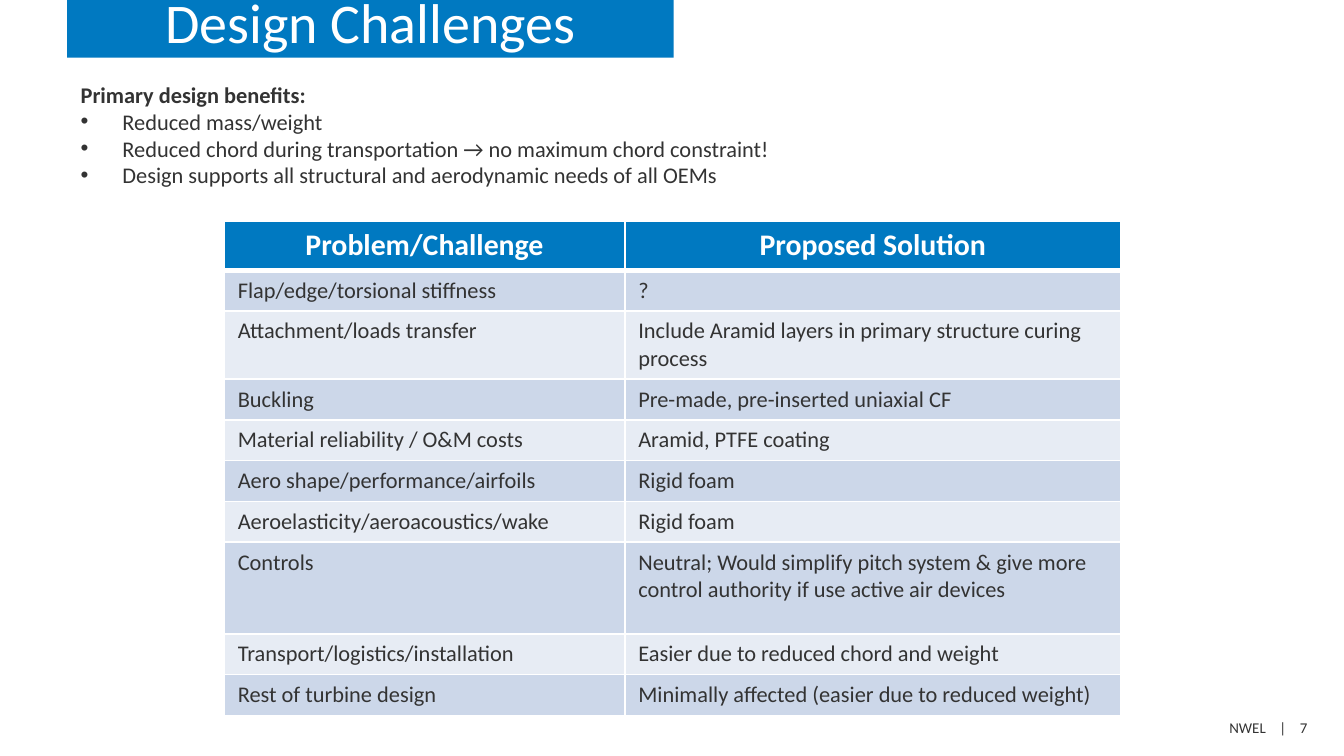
from lxml import etree
from pptx import Presentation
from pptx.dml.color import RGBColor
from pptx.enum.text import MSO_ANCHOR, MSO_AUTO_SIZE, PP_ALIGN
from pptx.oxml.ns import qn
from pptx.util import Cm, Pt

LEFT, CENTER, RIGHT = PP_ALIGN.LEFT, PP_ALIGN.CENTER, PP_ALIGN.RIGHT
MIDDLE, TOP = MSO_ANCHOR.MIDDLE, MSO_ANCHOR.TOP
NO_FIT = MSO_AUTO_SIZE.NONE

FONT = "Calibri"
BLUE, INK, WHITE = "0079C1", "333333", "FFFFFF"
BANDS = ("CCD7E9", "E7ECF4")

BENEFITS = [
    "Reduced mass/weight",
    "Reduced chord during transportation → no maximum chord constraint!",
    "Design supports all structural and aerodynamic needs of all OEMs",
]
HEADINGS = ("Problem/Challenge", "Proposed Solution")
ROW = 0.77
# Problem, solution, row height in cm
CHALLENGES = [
    ("Flap/edge/torsional stiffness", "?", ROW),
    ("Attachment/loads transfer",
     "Include Aramid layers in primary structure curing process", 1.29),
    ("Buckling", "Pre-made, pre-inserted uniaxial CF", ROW),
    ("Material reliability / O&M costs", "Aramid, PTFE coating", ROW),
    ("Aero shape/performance/airfoils", "Rigid foam", ROW),
    ("Aeroelasticity/aeroacoustics/wake", "Rigid foam", ROW),
    ("Controls", "Neutral; Would simplify pitch system & give more control "
     "authority if use active air devices", 1.73),
    ("Transport/logistics/installation",
     "Easier due to reduced chord and weight", ROW),
    ("Rest of turbine design",
     "Minimally affected (easier due to reduced weight)", ROW),
]


def color(value):
    return RGBColor.from_string(value)


def write(para, text, size=12, ink=INK, bold=False, align=LEFT, tracking=0):
    para.alignment = align
    span = para.add_run()
    span.text = text
    span.font.name = FONT
    span.font.size = Pt(size)
    span.font.bold = bold
    span.font.color.rgb = color(ink)
    if tracking:
        span.font._element.set("spc", str(round(tracking * 100)))


def place(shape, box):
    shape.left, shape.top, shape.width, shape.height = map(Cm, box)


def set_bullet(para, mark=None, indent=0.79):
    properties = para._p.get_or_add_pPr()
    hang = Cm(indent) if mark else 0
    properties.set("marL", str(hang))
    properties.set("indent", str(-hang))
    if mark:
        etree.SubElement(properties, qn("a:buChar")).set("char", mark)
    else:
        etree.SubElement(properties, qn("a:buNone"))


def set_borders(cell, top, bottom):
    properties = cell._tc.get_or_add_tcPr()
    widths = {"a:lnL": 1, "a:lnR": 1, "a:lnT": top, "a:lnB": bottom}
    for position, (tag, width) in enumerate(widths.items()):
        line = etree.Element(qn(tag), w=str(Pt(width)))
        fill = etree.SubElement(line, qn("a:solidFill"))
        etree.SubElement(fill, qn("a:srgbClr"), val=WHITE)
        properties.insert(position, line)


def add_title(page, box):
    title = page.shapes.title
    place(title, box)
    title.fill.solid()
    title.fill.fore_color.rgb = color(BLUE)
    frame = title.text_frame
    frame.auto_size = NO_FIT
    frame.vertical_anchor = MIDDLE
    para = frame.paragraphs[0]
    para.line_spacing = Pt(28)
    write(para, "Design Challenges", size=30, ink=WHITE, align=CENTER)


def add_benefits(page, box):
    body = page.placeholders[1]
    place(body, box)
    frame = body.text_frame
    frame.auto_size = NO_FIT
    frame.vertical_anchor = TOP
    for index, text in enumerate(["Primary design benefits:"] + BENEFITS):
        para = frame.add_paragraph() if index else frame.paragraphs[0]
        para.space_before = Pt(0)
        set_bullet(para, "•" if index else None)
        write(para, text, bold=index == 0)


def add_challenges(page, box, column_widths):
    rows = [(*HEADINGS, 0.92)] + CHALLENGES
    table = page.shapes.add_table(len(rows), 2, *map(Cm, box)).table
    for column, width in zip(table.columns, column_widths):
        column.width = Cm(width)
    for index, (*texts, height) in enumerate(rows):
        table.rows[index].height = Cm(height)
        header = index == 0
        style = dict(size=16, ink=WHITE, bold=True, align=CENTER) if header else {}
        for column, text in enumerate(texts):
            cell = table.cell(index, column)
            cell.fill.solid()
            cell.fill.fore_color.rgb = color(BLUE if header else BANDS[(index - 1) % 2])
            set_borders(cell, top=3 if index == 1 else 1, bottom=3 if header else 1)
            write(cell.text_frame.paragraphs[0], text, **style)


def add_footer(page, box):
    frame = page.shapes.add_textbox(*map(Cm, box)).text_frame
    frame.word_wrap = True
    para = frame.paragraphs[0]
    # Letter spacing widens the gaps on both sides of the divider
    for text, tracking in (("NWEL", 0), (" |", 5.4), (" 7", 0)):
        write(para, text, size=8, align=RIGHT, tracking=tracking)


def main():
    deck = Presentation()
    deck.slide_width, deck.slide_height = Cm(25.4), Cm(14.28)
    page = deck.slides.add_slide(deck.slide_layouts[1])
    add_footer(page, (18.64, 13.44, 6.32, 0.6))
    add_title(page, (1.27, 0, 11.46, 1.09))
    add_challenges(page, (4.24, 4.17, 16.94, 9.3), (7.57, 9.37))
    add_benefits(page, (1.27, 1.4, 22.25, 2.31))
    deck.save("out.pptx")


if __name__ == "__main__":
    main()
